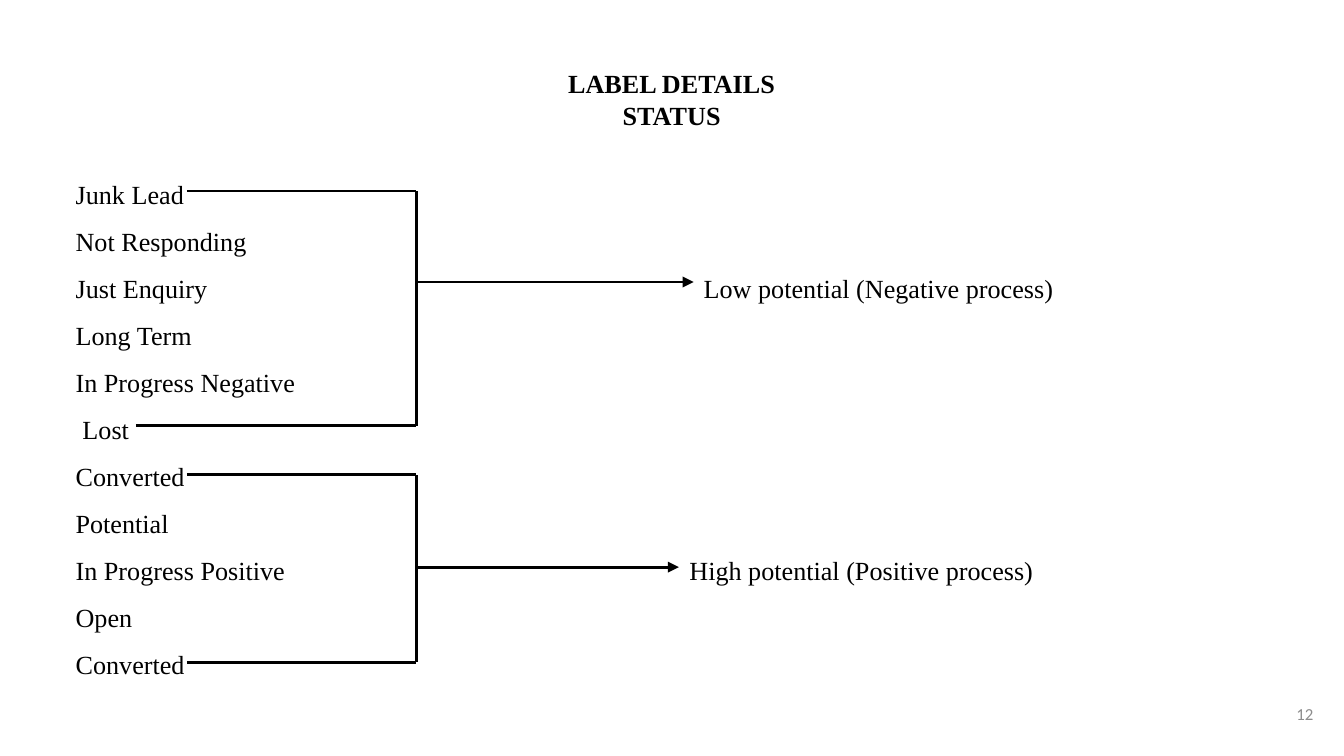
"""Build the slide that maps lead statuses to low and high potential labels."""
import lxml.etree
import pptx
import pptx.dml.color
import pptx.enum.shapes
import pptx.enum.text
import pptx.oxml
import pptx.oxml.ns
import pptx.util

Cm = pptx.util.Cm
Pt = pptx.util.Pt
ALIGN = pptx.enum.text.PP_ALIGN
ANCHOR = pptx.enum.text.MSO_ANCHOR
qn = pptx.oxml.ns.qn

BLACK = pptx.dml.color.RGBColor(0x00, 0x00, 0x00)
GREY = pptx.dml.color.RGBColor(0x8C, 0x8C, 0x8C)

LEFT, WIDTH, INSET = 0.86, 23.67, 0.25
STATUS_INSET = 0.57
LABEL_START, SPINE = 3.53, 7.87

STATUSES = [
    "Junk Lead",
    "Not Responding",
    "Just Enquiry\tLow potential (Negative process)",
    "Long Term",
    "In Progress Negative",
    "Lost",
    "Converted",
    "Potential",
    "In Progress Positive\tHigh potential (Positive process)",
    "Open",
    "Converted",
]
TABS = {2: 11.87, 8: 11.6}
INDENTS = {5: 0.13}


class SlideBuilder:
    """Hold the style and the current slide."""

    def __init__(self, prs, font="Times New Roman", size=14, line_width=1.5):
        self.slide = prs.slides.add_slide(prs.slide_layouts[6])
        self.font = font
        self.size = size
        self.line_width = line_width

    def text(self, box, lines, align=ALIGN.LEFT, anchor=ANCHOR.TOP, inset=(INSET, INSET),
             spacing=1.0, font=None, size=None, color=BLACK, bold=False, tabs=None, indents=None):
        """Add a text box with one paragraph per line."""
        sp = self.slide.shapes.add_textbox(*map(Cm, box))
        tf = sp.text_frame
        tf.word_wrap = True
        tf.vertical_anchor = anchor
        tf.margin_left, tf.margin_top = map(Cm, inset)
        tf.margin_right = tf.margin_bottom = Cm(INSET)
        tf.text = "\n".join(lines)
        for i, p in enumerate(tf.paragraphs):
            pPr = p._p.get_or_add_pPr()
            if tabs and i in tabs:
                tab_list = lxml.etree.SubElement(pPr, qn("a:tabLst"))
                lxml.etree.SubElement(tab_list, qn("a:tab"), pos=str(Cm(tabs[i])), algn="l")
            if indents and i in indents:
                pPr.set("marL", str(Cm(indents[i])))
            p.alignment = align
            p.line_spacing = spacing
            for r in p.runs:
                r.font.name = font or self.font
                r.font.size = Pt(size or self.size)
                r.font.bold = bold
                r.font.color.rgb = color
        return sp

    def line(self, x1, y1, x2, y2, arrow=False):
        """Add a straight line, with an arrowhead at its end if asked."""
        s = self.slide.shapes.add_connector(
            pptx.enum.shapes.MSO_CONNECTOR.STRAIGHT, Cm(x1), Cm(y1), Cm(x2), Cm(y2))
        s.line.color.rgb = BLACK
        s.line.width = Pt(self.line_width)
        if arrow:
            lxml.etree.SubElement(s.line._get_or_add_ln(), qn("a:tailEnd"), type="triangle")
        lxml.etree.SubElement(s._element.spPr, qn("a:effectLst"))
        return s

    def bracket(self, top, bottom, bottom_start, arrow_y, arrow_end):
        """Join the first and last status of a group and point to its label."""
        self.line(LABEL_START, top, SPINE, top)
        self.line(bottom_start, bottom, SPINE, bottom)
        self.line(SPINE, bottom, SPINE, top)
        self.line(SPINE, arrow_y, arrow_end, arrow_y, arrow=True)


def main():
    prs = pptx.Presentation()
    prs.slide_width, prs.slide_height = Cm(25.4), Cm(14.29)
    builder = SlideBuilder(prs)
    builder.text((LEFT, 1.24, WIDTH, 1.6), ["LABEL DETAILS\vSTATUS"],
                 align=ALIGN.CENTER, inset=(INSET, 0.04), bold=True)
    builder.text((LEFT, 2.82, WIDTH, 10.85), STATUSES, inset=(STATUS_INSET, INSET),
                 spacing=1.5, tabs=TABS, indents=INDENTS)
    builder.text((23.55, 12.95, 1.52, 1.09), ["12"], align=ALIGN.RIGHT,
                 anchor=ANCHOR.MIDDLE, font="Calibri", size=9, color=GREY)
    builder.bracket(3.61, 8.05, 2.57, 5.33, 13.11)
    builder.bracket(8.97, 12.52, LABEL_START, 10.72, 12.83)
    prs.save("out.pptx")


if __name__ == "__main__":
    main()
